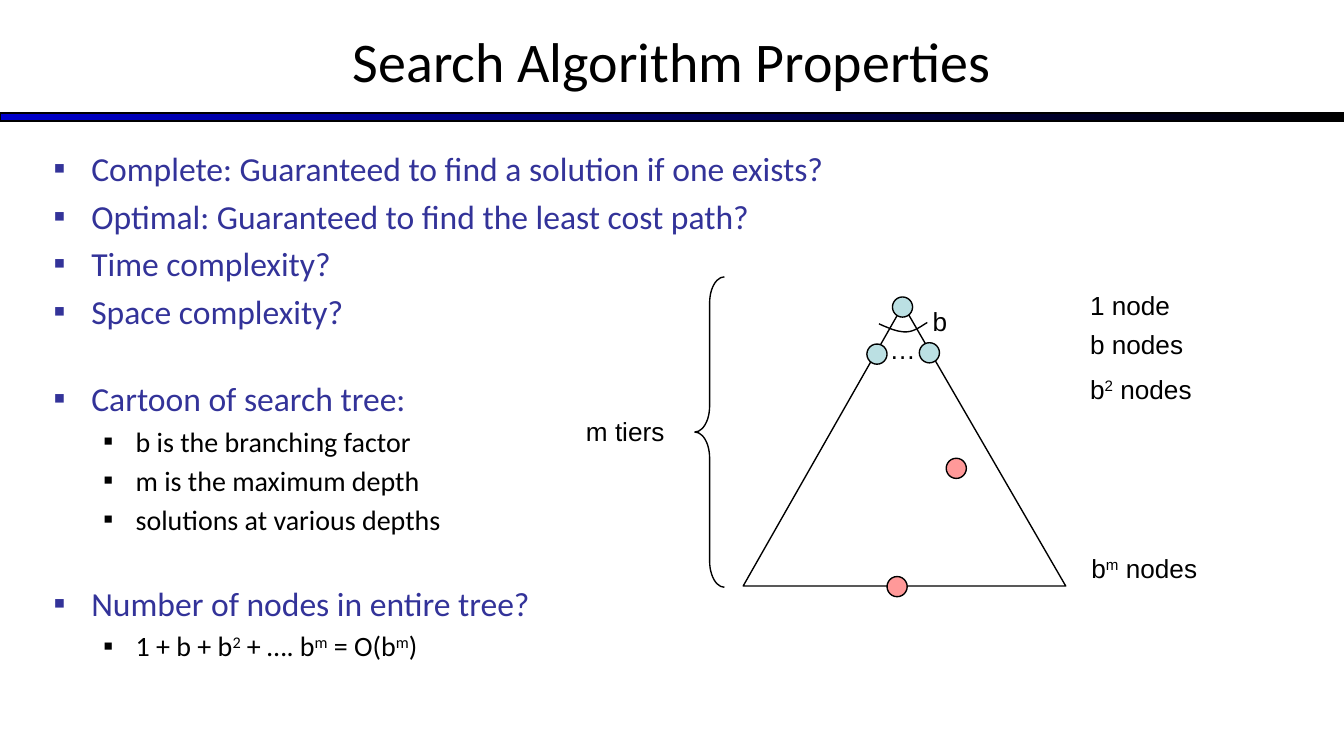
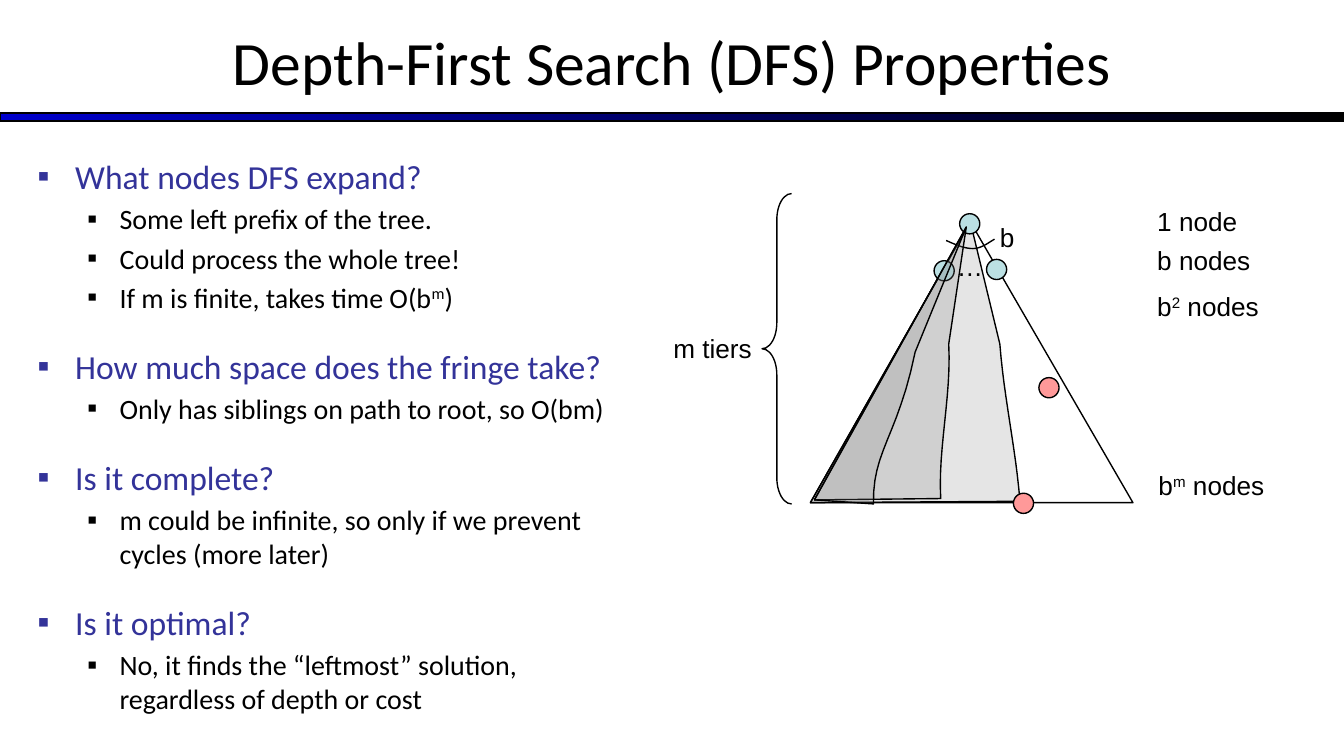
import lxml.etree
import pptx
import pptx.dml.color
import pptx.enum.shapes
import pptx.enum.text
import pptx.oxml.ns
import pptx.util

Inches = pptx.util.Inches
Pt = pptx.util.Pt
RGBColor = pptx.dml.color.RGBColor
SHAPE = pptx.enum.shapes.MSO_SHAPE
ALIGN = pptx.enum.text.PP_ALIGN
ANCHOR = pptx.enum.text.MSO_ANCHOR
AUTO_SIZE = pptx.enum.text.MSO_AUTO_SIZE
qn = pptx.oxml.ns.qn

BLACK = RGBColor(0x00, 0x00, 0x00)
BAND_BLUE = RGBColor(0x00, 0x00, 0xCC)
HEADING_BLUE = RGBColor(0x33, 0x33, 0x99)
NODE_BLUE = RGBColor(0xBB, 0xE0, 0xE3)
GOAL_PINK = RGBColor(0xFF, 0x99, 0x99)
SHADE_GRAY = RGBColor(0x80, 0x80, 0x80)

NODE_SIZE = 0.15
CURVE_STEPS = 12
APEX, BASE_LEFT, BASE_RIGHT = (1.55, 0.21), (0.36, 2.3), (2.76, 2.3)

PROPERTIES = [
    (0, "Complete: Guaranteed to find a solution if one exists?", 0),
    (0, "Optimal: Guaranteed to find the least cost path?", 4),
    (0, "Time complexity?", 4),
    (0, "Space complexity?", 4),
    (0, "Cartoon of search tree:", 25),
    (1, "b is the branching factor", 3),
    (1, "m is the maximum depth", 3),
    (1, "solutions at various depths", 3),
    (0, "Number of nodes in entire tree?", 25),
    (1, "1 + b + b^2^ + …. b^m^ = O(b^m^)", 3),
]
DFS_PROPERTIES = [
    (0, "What nodes DFS expand?", 0),
    (1, "Some left prefix of the tree.", 3),
    (1, "Could process the whole tree!", 3),
    (1, "If m is finite, takes time O(b^m^)", 3),
    (0, "How much space does the fringe take?", 17),
    (1, "Only has siblings on path to root, so O(bm)", 3),
    (0, "Is it complete?", 17),
    (1, "m could be infinite, so only if we prevent cycles (more later)", 3),
    (0, "Is it optimal?", 17),
    (1, "No, it finds the “leftmost” solution, regardless of depth or cost", 3),
]


def write_text(para, text, *, size, font="Calibri", color=BLACK, align=ALIGN.LEFT, before=0):
    """Write text into a paragraph, raising the parts between carets."""
    para.alignment = align
    para.space_before = Pt(before)
    for index, part in enumerate(text.split("^")):
        if not part:
            continue
        span = para.add_run()
        span.text = part
        span.font.size = Pt(size)
        span.font.name = font
        span.font.color.rgb = color
        if index % 2:
            span.font._element.set("baseline", "30000")


def add_frame(page, box, anchor=ANCHOR.TOP):
    """Add a wrapping text box and return its text frame."""
    frame = page.shapes.add_textbox(*map(Inches, box)).text_frame
    frame.word_wrap = True
    frame.vertical_anchor = anchor
    frame.margin_left = frame.margin_right = Inches(0.07)
    frame.margin_top = frame.margin_bottom = Inches(0.04)
    return frame


def set_bullet(para, level, color):
    """Give a paragraph a hanging square bullet."""
    indent, hanging = ((0.28, 0.28), (0.61, 0.24))[level]
    para.level = level
    properties = para._p.get_or_add_pPr()
    properties.set("marL", str(Inches(indent)))
    properties.set("indent", str(-Inches(hanging)))
    bullet_color = lxml.etree.SubElement(properties, qn("a:buClr"))
    lxml.etree.SubElement(bullet_color, qn("a:srgbClr"), val=str(color))
    lxml.etree.SubElement(properties, qn("a:buFont"), typeface="Calibri")
    lxml.etree.SubElement(properties, qn("a:buChar"), char="▪")


def outline(shape, fill=None):
    """Give a shape a thin black line, no shadow, and a fill or none."""
    shape.shadow.inherit = False
    shape.line.color.rgb = BLACK
    shape.line.width = Pt(0.75)
    if fill is None:
        shape.fill.background()
    else:
        shape.fill.solid()
        shape.fill.fore_color.rgb = fill


def curve_points(start, first, second, end):
    """Return points along a cubic curve, including both ends."""
    points = []
    for step in range(CURVE_STEPS + 1):
        t = step / CURVE_STEPS
        weights = ((1 - t) ** 3, 3 * t * (1 - t) ** 2, 3 * t * t * (1 - t), t ** 3)
        points.append(tuple(
            sum(weight * value for weight, value in zip(weights, values))
            for values in zip(start, first, second, end)))
    return points


def add_outline(page, origin, points, *, close=True, fill=None):
    """Draw a freeform through points given relative to the origin."""
    left, top = origin
    placed = [(Inches(left + x), Inches(top + y)) for x, y in points]
    builder = page.shapes.build_freeform(*placed[0])
    builder.add_line_segments(placed[1:], close=close)
    shape = builder.convert_to_shape()
    outline(shape, fill)
    return shape


def add_node(page, origin, place, color):
    """Draw one round tree node."""
    left, top = origin[0] + place[0], origin[1] + place[1]
    node = page.shapes.add_shape(
        SHAPE.OVAL, Inches(left), Inches(top), Inches(NODE_SIZE), Inches(NODE_SIZE))
    outline(node, color)


def add_label(page, origin, text, x, y, width):
    """Write a tree label."""
    frame = add_frame(page, (origin[0] + x, origin[1] + y, width, 0.3))
    frame.auto_size = AUTO_SIZE.SHAPE_TO_FIT_TEXT
    write_text(frame.paragraphs[0], text, size=14, font="Arial")


def add_shade(page, origin, start, corner, first, second, bend, tip):
    """Draw a translucent explored part of the tree."""
    points = [start, *curve_points(corner, first, second, bend), tip]
    shape = add_outline(page, origin, points, fill=SHADE_GRAY)
    color = shape._element.spPr.find(qn("a:solidFill"))[0]
    lxml.etree.SubElement(color, qn("a:alpha"), val="20000")


def add_tree(page, origin, tiers_x, bottom_goal_x):
    """Draw the search tree with its brace, nodes and labels."""
    add_outline(page, origin, [BASE_LEFT, BASE_RIGHT, APEX])
    for place in ((1.47, 0.15), (1.28, 0.5), (1.67, 0.49)):
        add_node(page, origin, place, NODE_BLUE)
    arc = curve_points((1.37, 0.35), (1.44, 0.38), (1.5, 0.41), (1.57, 0.41))
    arc += curve_points((1.57, 0.41), (1.63, 0.41), (1.68, 0.37), (1.73, 0.34))[1:]
    add_outline(page, origin, arc, close=False)
    labels = [
        ("…", 1.38, 0.38, 0.23),
        ("b", 1.7, 0.17, 0.24),
        ("1 node", 2.87, 0.05, 0.92),
        ("b nodes", 2.87, 0.34, 0.92),
        ("b^2^ nodes", 2.87, 0.68, 0.92),
        ("b^m^ nodes", 2.88, 2.01, 1.2),
        ("m tiers", tiers_x, 0.99, 1.04),
    ]
    for label in labels:
        add_label(page, origin, *label)
    add_node(page, origin, (bottom_goal_x, 2.23), GOAL_PINK)
    brace = page.shapes.add_shape(
        SHAPE.LEFT_BRACE, *map(Inches, origin), Inches(0.22), Inches(2.31))
    brace.adjustments[0] = 0.884
    brace.adjustments[1] = 0.5
    outline(brace)


def add_bullets(page, box, lines):
    """Write a two-level bullet list."""
    frame = add_frame(page, box)
    for index, (level, text, before) in enumerate(lines):
        para = frame.add_paragraph() if index else frame.paragraphs[0]
        color = (HEADING_BLUE, BLACK)[level]
        write_text(para, text, size=(18, 15)[level], color=color, before=before)
        set_bullet(para, level, color)


def add_page(deck, title, size):
    """Add a page with the gradient band and a centred title."""
    page = deck.slides.add_slide(deck.slide_layouts[6])
    band = page.shapes.add_shape(
        SHAPE.RECTANGLE, 0, Inches(0.84), deck.slide_width, Inches(0.06))
    outline(band)
    band.fill.gradient()
    band.fill.gradient_angle = 0
    for stop, color in zip(band.fill.gradient_stops, (BAND_BLUE, BLACK)):
        stop.color.rgb = color
    frame = add_frame(page, (0, -0.02, 10, 0.94), ANCHOR.MIDDLE)
    write_text(frame.paragraphs[0], title, size=size, align=ALIGN.CENTER)
    return page


def add_properties_page(deck):
    """Build the page on search algorithm properties."""
    page = add_page(deck, "Search Algorithm Properties", 30)
    origin = (5.17, 2.06)
    add_bullets(page, (0.33, 1.06, 9.33, 3.88), PROPERTIES)
    add_tree(page, origin, tiers_x=-0.88, bottom_goal_x=1.43)
    add_node(page, origin, (1.87, 1.35), GOAL_PINK)


def add_dfs_page(deck):
    """Build the page on depth-first search."""
    page = add_page(deck, "Depth-First Search (DFS) Properties", 33)
    origin = (5.67, 1.44)
    add_shade(page, origin, BASE_LEFT, (1.92, 2.29), (1.89, 1.91), (1.8, 1.51), (1.77, 1.12), APEX)
    add_tree(page, origin, tiers_x=-0.73, bottom_goal_x=1.87)
    add_bullets(page, (0.21, 1.12, 4.48, 3.88), DFS_PROPERTIES)
    start, tip = (0.39, 2.28), (1.52, 0.25)
    add_shade(page, origin, start, (1.33, 2.27), (1.31, 1.89), (1.41, 1.51), (1.39, 1.12), tip)
    add_shade(page, origin, start, (0.83, 2.31), (0.82, 1.92), (1.01, 1.81), (1.14, 1.18), tip)
    add_node(page, origin, (2.06, 1.37), GOAL_PINK)


def main():
    """Build and save the deck."""
    deck = pptx.Presentation()
    deck.slide_width = Inches(10)
    deck.slide_height = deck.slide_width * 9 // 16
    add_properties_page(deck)
    add_dfs_page(deck)
    deck.save("out.pptx")


if __name__ == "__main__":
    main()
